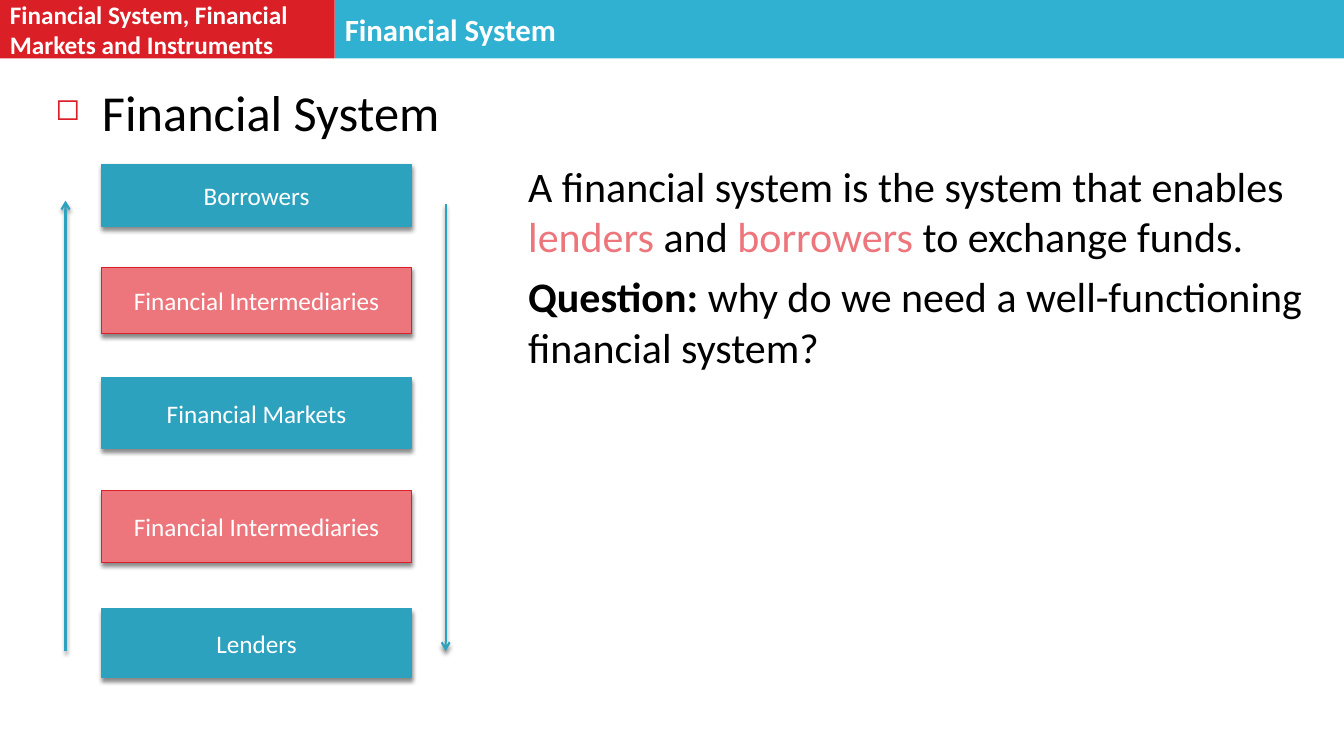
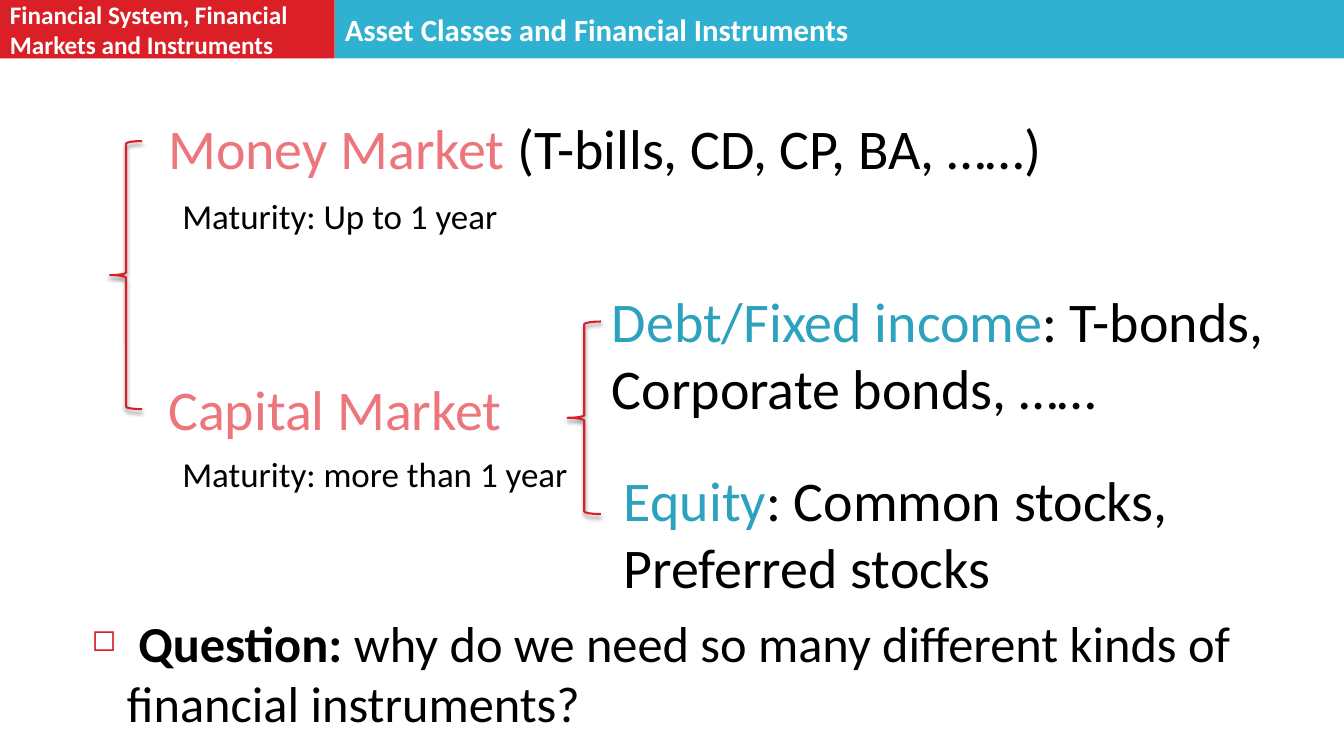
from lxml import etree
from pptx import Presentation
from pptx.dml.color import RGBColor
from pptx.enum.shapes import MSO_CONNECTOR as CONN, MSO_SHAPE as SHAPE
from pptx.enum.text import MSO_ANCHOR as ANCHOR, MSO_AUTO_SIZE as FIT, PP_ALIGN as ALIGN
from pptx.oxml import parse_xml
from pptx.oxml.ns import nsdecls, qn
from pptx.util import Inches, Pt

BAND_RED = RGBColor(0xDA, 0x1F, 0x27)
BAND_BLUE = RGBColor(0x30, 0xB1, 0xD1)
RED = RGBColor(0xDA, 0x1F, 0x28)
TEAL = RGBColor(0x2D, 0xA2, 0xBF)
PINK = RGBColor(0xEC, 0x76, 0x7C)
BLACK = RGBColor(0, 0, 0)
WHITE = RGBColor(0xFF, 0xFF, 0xFF)

FONT = "Calibri"
TOPIC = "Financial System, Financial Markets and Instruments"
BAND_SPLIT, BAND_HEIGHT = 3.32, 0.58
BULLET_INDENT = 0.35


class Deck:
    def __init__(self):
        self.prs = Presentation()
        self.prs.slide_width = Inches(13.33)
        self.prs.slide_height = Inches(7.5)
        self.s = None

    def slide(self, title):
        self.s = self.prs.slides.add_slide(self.prs.slide_layouts[5])
        self.box(0, 0, BAND_SPLIT, BAND_HEIGHT, TOPIC, BAND_RED, bold=True)
        sp = self.s.shapes.title
        sp.left, sp.top = Inches(BAND_SPLIT), 0
        sp.width = self.prs.slide_width - sp.left
        sp.height = Inches(BAND_HEIGHT)
        sp.fill.solid()
        sp.fill.fore_color.rgb = BAND_BLUE
        tf = sp.text_frame
        tf.text = title
        tf.auto_size = FIT.NONE
        tf.vertical_anchor = ANCHOR.MIDDLE
        tf.paragraphs[0].alignment = ALIGN.LEFT
        self.style(tf.paragraphs[0].runs[0], 22, WHITE, True)

    def style(self, r, size, color, bold=False):
        r.font.name = FONT
        r.font.size = Pt(size)
        r.font.bold = bold
        r.font.color.rgb = color

    def shadow(self, sp):
        sp._element.spPr.append(parse_xml(
            f'<a:effectLst {nsdecls("a")}>'
            f'<a:outerShdw blurRad="{Pt(3)}" dist="{Pt(2.4)}" dir="5400000" rotWithShape="0">'
            '<a:srgbClr val="000000"><a:alpha val="45000"/></a:srgbClr>'
            '</a:outerShdw></a:effectLst>'))

    def stroke(self, sp, color, width):
        sp.line.color.rgb = color
        sp.line.width = Pt(width)

    def box(self, x, y, w, h, text, fill, line=None, bold=False):
        sp = self.s.shapes.add_shape(SHAPE.RECTANGLE, Inches(x), Inches(y), Inches(w), Inches(h))
        sp.fill.solid()
        sp.fill.fore_color.rgb = fill
        if line is None:
            sp.line.fill.background()
            sp.shadow.inherit = False
        else:
            self.stroke(sp, line, 0.79)
            self.shadow(sp)
        tf = sp.text_frame
        tf.text = text
        tf.word_wrap = True
        tf.vertical_anchor = ANCHOR.MIDDLE
        p = tf.paragraphs[0]
        p.alignment = ALIGN.LEFT if line is None else ALIGN.CENTER
        self.style(p.runs[0], 18, WHITE, bold)

    def text(self, x, y, w, h, size, *paragraphs, bullet=False):
        sp = self.s.shapes.add_textbox(Inches(x), Inches(y), Inches(w), Inches(h))
        tf = sp.text_frame
        tf.word_wrap = True
        for i, runs in enumerate(paragraphs):
            p = tf.add_paragraph() if i else tf.paragraphs[0]
            if i:
                p.space_before = Pt(7)
            if bullet:
                self.bullet(p)
            for text, color, bold in runs:
                r = p.add_run()
                r.text = text
                self.style(r, size, color, bold)

    def bullet(self, p):
        pPr = p._p.get_or_add_pPr()
        pPr.set("marL", str(Inches(BULLET_INDENT)))
        pPr.set("indent", str(-Inches(BULLET_INDENT)))
        color = etree.SubElement(pPr, qn("a:buClr"))
        etree.SubElement(color, qn("a:srgbClr"), val=str(RED))
        etree.SubElement(pPr, qn("a:buSzPct"), val="60000")
        etree.SubElement(pPr, qn("a:buChar"), char="◻")

    def arrow(self, x, y1, y2):
        c = self.s.shapes.add_connector(CONN.STRAIGHT, Inches(x), Inches(y1), Inches(x), Inches(y2))
        self.stroke(c, TEAL, 1.5)
        etree.SubElement(c.line._get_or_add_ln(), qn("a:tailEnd"), type="arrow")
        self.shadow(c)

    def brace(self, x, y, w, h):
        sp = self.s.shapes.add_shape(SHAPE.LEFT_BRACE, Inches(x), Inches(y), Inches(w), Inches(h))
        sp.fill.background()
        self.stroke(sp, RED, 1.5)
        self.shadow(sp)


def financial_system(deck):
    deck.slide("Financial System")
    deck.text(0.45, 0.76, 6.69, 0.77, 36, [(" Financial System", BLACK, False)], bullet=True)
    deck.text(5.14, 1.54, 8.04, 3.22, 30,
              [("A financial system is the system that enables ", BLACK, False),
               ("lenders", PINK, False),
               (" and ", BLACK, False),
               ("borrowers", PINK, False),
               (" to exchange funds.", BLACK, False)],
              [("Question: ", BLACK, True),
               ("why do we need a well-functioning financial system?", BLACK, False)])
    chain = [("Borrowers", 1.63, 0.62),
             ("Financial Intermediaries", 2.65, 0.66),
             ("Financial Markets", 3.75, 0.7),
             ("Financial Intermediaries", 4.87, 0.71),
             ("Lenders", 6.04, 0.68)]
    for i, (name, y, h) in enumerate(chain):
        fill, line = (PINK, RED) if i % 2 else (TEAL, TEAL)
        deck.box(1.01, y, 3.07, h, name, fill, line)
    deck.arrow(0.65, 6.46, 1.99)
    deck.arrow(4.42, 2.02, 6.46)


def asset_classes(deck):
    deck.slide("Asset Classes and Financial Instruments")
    deck.text(1.57, 1.08, 10.02, 0.77, 40,
              [("Money Market ", PINK, False), ("(T-bills, CD, CP, BA, ……)", BLACK, False)])
    deck.text(1.71, 1.88, 4.07, 0.52, 25, [("Maturity: Up to 1 year", BLACK, False)])
    deck.brace(1.09, 1.4, 0.32, 2.66)
    deck.text(1.57, 3.67, 4.88, 0.77, 40, [("Capital Market", PINK, False)])
    deck.text(1.71, 4.44, 4.37, 0.52, 25, [("Maturity: more than 1 year", BLACK, False)])
    deck.brace(5.63, 3.19, 0.33, 1.91)
    deck.text(5.97, 2.79, 6.79, 1.99, 40,
              [("Debt/Fixed income", TEAL, False), (": T-bonds, Corporate bonds, ……", BLACK, False)])
    deck.text(6.09, 4.57, 7, 1.45, 40,
              [("Equity", TEAL, False), (": Common stocks, Preferred stocks", BLACK, False)])
    deck.text(0.81, 6.02, 12.45, 1.31, 36,
              [(" Question: ", BLACK, True),
               ("why do we need so many different kinds of financial instruments?", BLACK, False)],
              bullet=True)


def main():
    deck = Deck()
    financial_system(deck)
    asset_classes(deck)
    deck.prs.save("out.pptx")


if __name__ == "__main__":
    main()
